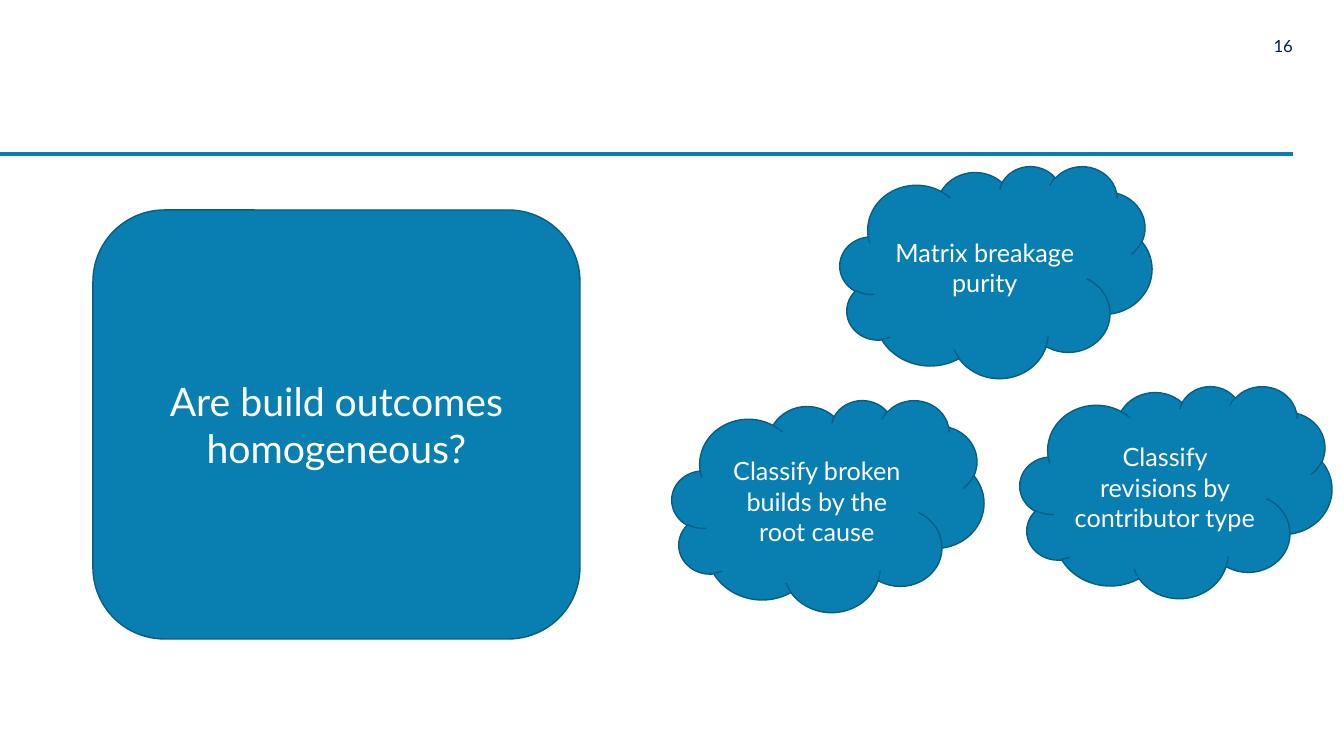
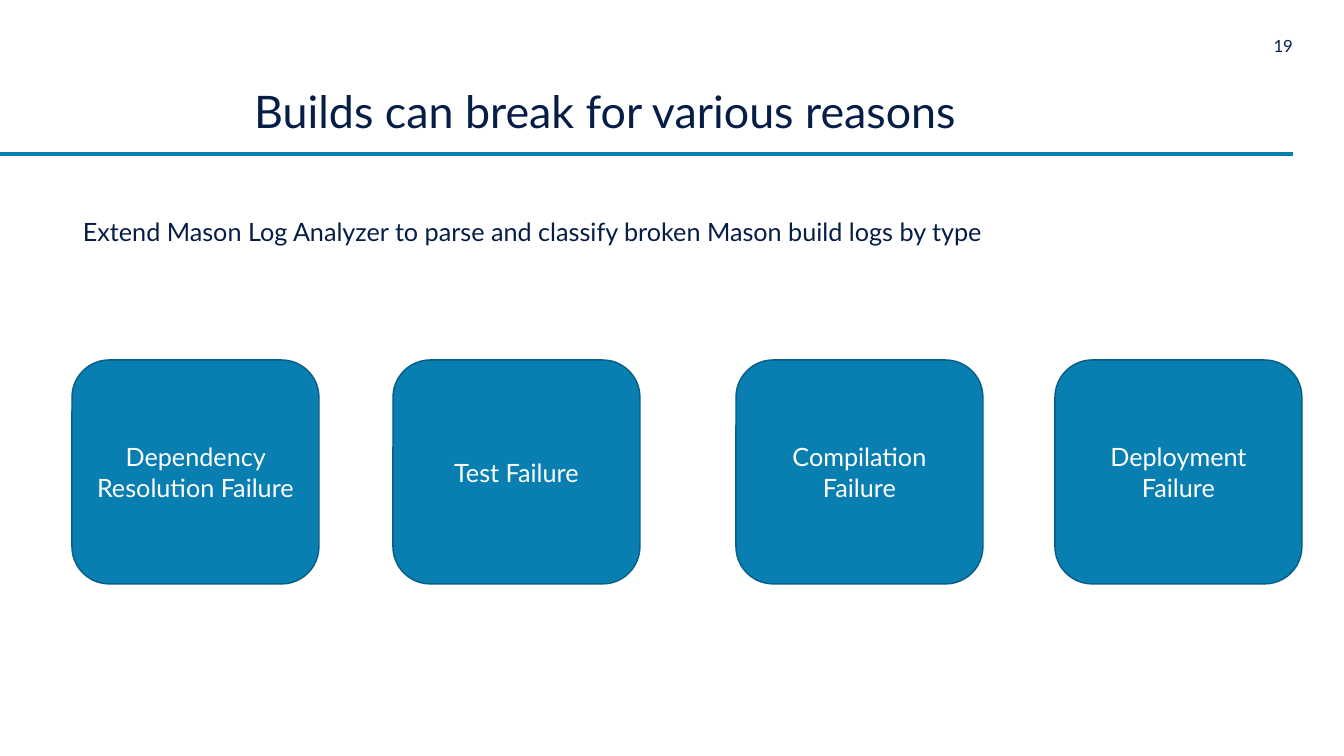
from pptx import Presentation
from pptx.dml.color import RGBColor
from pptx.enum.shapes import MSO_CONNECTOR, MSO_SHAPE
from pptx.enum.text import MSO_ANCHOR as Anchor, MSO_AUTO_SIZE as AutoSize, PP_ALIGN as Align
from pptx.oxml.ns import qn
from pptx.util import Emu, Pt
from lxml import etree

SLIDE_W, SLIDE_H = 1344, 756
SCALE = 12192000 / SLIDE_W
TITLE_ONLY, BLANK = 5, 6

BLUE, EDGE, NAVY, WHITE = "097EB1", "075D83", "061D48", "FFFFFF"
FONT = "Lato"
NO_INSETS = dict.fromkeys(
    ("margin_left", "margin_top", "margin_right", "margin_bottom"), 0)


def px(*lengths):
    """Turn px lengths into a list of EMU lengths."""
    return [Emu(round(length * SCALE)) for length in lengths]


def rgb(hex_color):
    return RGBColor.from_string(hex_color)


def apply(target, formats):
    for name, value in formats.items():
        setattr(target, name, value)


def write(shape, text, size, color, align=Align.CENTER, spacing=None, **frame_formats):
    """Put one formatted paragraph into a shape; the rest goes to its text frame."""
    frame = shape.text_frame
    apply(frame, {"word_wrap": True, **frame_formats})
    paragraph = frame.paragraphs[0]
    apply(paragraph, {"alignment": align, "line_spacing": spacing})
    run = paragraph.add_run()
    run.text = text
    apply(run.font, {"name": FONT, "size": Pt(size)})
    run.font.color.rgb = rgb(color)


def add_rule(slide, y, right):
    rule = slide.shapes.add_connector(MSO_CONNECTOR.STRAIGHT, *px(0, y, right, y))
    rule.line.color.rgb = rgb(BLUE)
    rule.line.width = Pt(2.25)
    etree.SubElement(rule._element.spPr, qn("a:effectLst"))


def add_label(slide, box, text, size, align, **frame_formats):
    label = slide.shapes.add_textbox(*px(*box))
    write(label, text, size, NAVY, align, **frame_formats)


def add_bubble(slide, kind, box, text, size=18):
    """Add a blue shape with centred white text."""
    bubble = slide.shapes.add_shape(kind, *px(*box))
    bubble.shadow.inherit = False
    bubble.fill.solid()
    bubble.fill.fore_color.rgb = rgb(BLUE)
    bubble.line.color.rgb = rgb(EDGE)
    bubble.line.width = Pt(1)
    write(bubble, text, size, WHITE, vertical_anchor=Anchor.MIDDLE)


def add_title(slide, box, text):
    title = slide.shapes.title
    apply(title, dict(zip(("left", "top", "width", "height"), px(*box))))
    write(title, text, 32, NAVY, spacing=0.9, vertical_anchor=Anchor.BOTTOM,
          auto_size=AutoSize.NONE, **NO_INSETS)


def new_slide(deck, layout, number):
    slide = deck.slides.add_slide(deck.slide_layouts[layout])
    add_rule(slide, 154, 1293)
    add_label(slide, (1252, 36, 41, 20), number, 12, Align.RIGHT, **NO_INSETS)
    return slide


def question_slide(deck):
    slide = new_slide(deck, BLANK, "16")
    add_bubble(slide, MSO_SHAPE.ROUNDED_RECTANGLE, (93, 210, 487, 429),
               "Are build outcomes homogeneous?", 28)
    ideas = [
        (840, 166, "Matrix breakage purity"),
        (672, 400, "Classify broken builds by the root cause"),
        (1020, 386, "Classify revisions by contributor type"),
    ]
    for left, top, idea in ideas:
        add_bubble(slide, MSO_SHAPE.CLOUD, (left, top, 312, 212), idea)


def reasons_slide(deck):
    slide = new_slide(deck, TITLE_ONLY, "19")
    add_title(slide, (93, 34, 1036, 104), "Builds can break for various reasons ")
    add_label(slide, (73, 211, 936, 40),
              "Extend Mason Log Analyzer to parse and classify broken Mason build logs by type",
              18, Align.LEFT, word_wrap=False)
    failures = [
        (72, "Dependency Resolution Failure"),
        (393, "Test Failure"),
        (736, "Compilation Failure"),
        (1055, "Deployment Failure"),
    ]
    for left, failure in failures:
        add_bubble(slide, MSO_SHAPE.ROUNDED_RECTANGLE, (left, 360, 247, 224), failure)


def main():
    deck = Presentation()
    deck.slide_width, deck.slide_height = px(SLIDE_W, SLIDE_H)
    question_slide(deck)
    reasons_slide(deck)
    deck.save("out.pptx")


if __name__ == "__main__":
    main()
